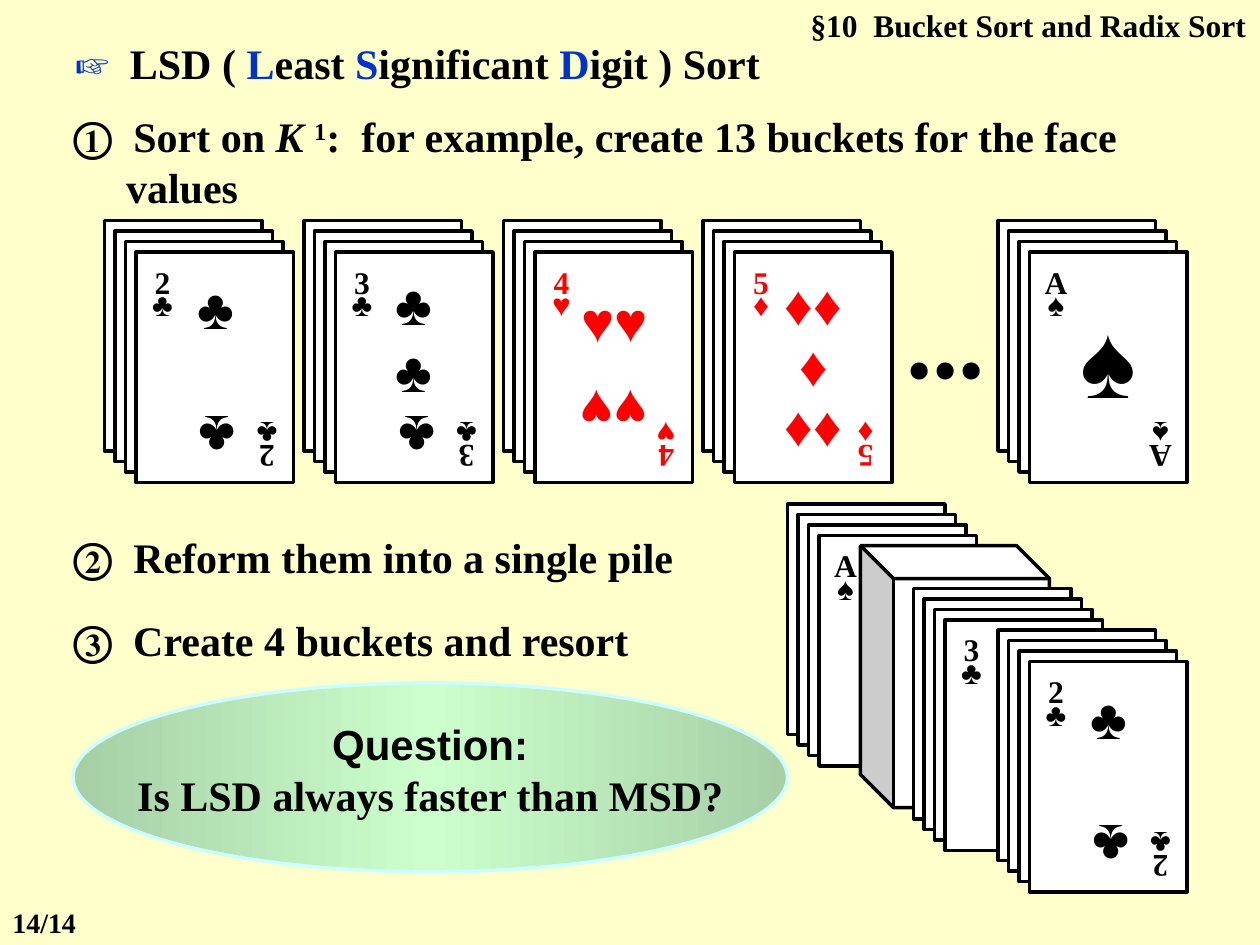
from copy import deepcopy
from dataclasses import dataclass
from pptx import Presentation
from pptx.dml.color import RGBColor
from pptx.enum.shapes import MSO_SHAPE
from pptx.enum.text import MSO_ANCHOR, PP_ALIGN
from pptx.util import Inches, Pt


@dataclass(frozen=True)
class Theme:
    paper: str = "FFFFCC"
    ink: str = "000000"
    accent: str = "0033CC"
    red: str = "FF0000"
    card: str = "FFFFFF"
    bubble_edge: str = "CCFFFF"
    bubble_dark: str = "A6CFA6"
    bubble_light: str = "CCFFCC"
    serif: str = "Times New Roman"
    sans: str = "Arial"
    footer: int = 16
    small: int = 18
    body: int = 24
    pip: int = 32
    huge: int = 60
    outline: int = 2


@dataclass(frozen=True)
class Pip:
    left: float
    top: float
    height: float
    lines: tuple
    size: int = Theme.pip
    spacing: float = 1.0
    turned: bool = False


class SlideBuilder:
    def __init__(self, page, theme):
        self.page = page
        self.theme = theme
        self.shapes = page.shapes
        page.background.fill.solid()
        page.background.fill.fore_color.rgb = RGBColor.from_string(theme.paper)

    def start_group(self):
        self.shapes = self.page.shapes.add_group_shape().shapes

    def end_group(self):
        self.shapes = self.page.shapes

    def span(self, para, text, size, color=None, font=None, italic=False, raised=False):
        span = para.add_run()
        span.text = text
        span.font.name = font or self.theme.serif
        span.font.size = Pt(size)
        span.font.bold = True
        span.font.italic = italic
        span.font.color.rgb = RGBColor.from_string(color or self.theme.ink)
        if raised:
            span._r.get_or_add_rPr().set("baseline", "30000")

    def text(self, at, lines, size, color=None, align=PP_ALIGN.LEFT, side=0.0,
             wrap=True, anchor=MSO_ANCHOR.TOP, spacing=1.0, turned=False, hanging=0.0):
        box = self.shapes.add_textbox(*map(Inches, at))
        frame = box.text_frame
        frame.word_wrap = wrap
        frame.vertical_anchor = anchor
        frame.margin_left = frame.margin_right = Inches(side)
        for index, line in enumerate(lines):
            para = frame.paragraphs[0] if index == 0 else frame.add_paragraph()
            para.alignment = align
            para.line_spacing = spacing
            if hanging:
                properties = para._p.get_or_add_pPr()
                properties.set("marL", str(Inches(hanging)))
                properties.set("indent", str(-Inches(hanging)))
            for part in [(line, {})] if isinstance(line, str) else line:
                self.span(para, part[0], size, **{"color": color, **part[1]})
        if turned:
            box.rotation = 180

    def shape(self, kind, at, line=None, fill=None):
        shape = self.shapes.add_shape(kind, *map(Inches, at))
        shape.shadow.inherit = False
        shape.fill.solid()
        shape.fill.fore_color.rgb = RGBColor.from_string(fill or self.theme.card)
        shape.line.color.rgb = RGBColor.from_string(line or self.theme.ink)
        shape.line.width = Pt(self.theme.outline)
        return shape

    def card_text(self, at, lines, size, color, spacing, turned=False):
        self.text(at, lines, size, color, PP_ALIGN.CENTER, wrap=False,
                  anchor=MSO_ANCHOR.MIDDLE, spacing=spacing, turned=turned)

    def stack(self, left, top, rank, suit, color, pips=(), far_corner=True):
        for index in range(4):
            shift = index / 12
            self.shape(MSO_SHAPE.RECTANGLE, (left + shift, top + shift, 1.25, 1.83))
        corners = [(0.25, 0.37, False), (1.08, 1.5, True)]
        for across, down, turned in corners if far_corner else corners[:1]:
            self.card_text((left + across, top + down, 0.42, 0.5), [rank, suit],
                           self.theme.small, color, 0.6, turned)
        for pip in pips:
            self.card_text((left + pip.left, top + pip.top, 0.67, pip.height),
                           [suit * count for count in pip.lines],
                           pip.size, color, pip.spacing, pip.turned)

    def cube(self, at, depth):
        cube = self.shape(MSO_SHAPE.CUBE, at)
        cube.adjustments[0] = depth
        cube._element.spPr.xfrm.set("flipH", "1")

    def bubble(self, at, lines):
        bubble = self.shape(MSO_SHAPE.OVAL, at, self.theme.bubble_edge)
        bubble.fill.gradient()
        bubble.fill.gradient_angle = 0
        edge, middle = bubble.fill.gradient_stops
        edge.position, middle.position = 0, 0.5
        edge.color.rgb = RGBColor.from_string(self.theme.bubble_dark)
        middle.color.rgb = RGBColor.from_string(self.theme.bubble_light)
        stops = bubble._element.spPr.gradFill.gsLst
        stops.append(deepcopy(stops[0]))
        stops[-1].set("pos", "100000")
        frame = bubble.text_frame
        frame.word_wrap = False
        frame.vertical_anchor = MSO_ANCHOR.MIDDLE
        frame.margin_bottom = Inches(0.18)
        for index, (line, font) in enumerate(lines):
            para = frame.paragraphs[0] if index == 0 else frame.add_paragraph()
            para.alignment = PP_ALIGN.CENTER
            self.span(para, line, self.theme.body, font=font)


theme = Theme()
deck = Presentation()
deck.slide_width, deck.slide_height = Inches(10), Inches(7.5)
slide = SlideBuilder(deck.slides.add_slide(deck.slide_layouts[6]), theme)

CLUB, HEART, DIAMOND, SPADE = "♣", "♥", "♦", "♠"
LOWER_CLUB = Pip(0.56, 1.44, 0.58, (1,), turned=True)
TWO = (Pip(0.55, 0.4, 0.58, (1,)), LOWER_CLUB)
THREE = (Pip(0.54, 0.42, 1, (1, 1)), LOWER_CLUB)
FOUR = (Pip(0.55, 0.5, 0.58, (2,)), Pip(0.54, 1.24, 0.58, (2,), turned=True))
FIVE = (Pip(0.54, 0.42, 1.5, (2, 1, 2), spacing=0.9),)
ACE = (Pip(0.54, 0.58, 1, (1,), size=theme.huge),)
blue = {"color": theme.accent}

slide.text((5.83, 0, 4.16, 0.4), ["§10  Bucket Sort and Radix Sort"],
           theme.small, align=PP_ALIGN.RIGHT, side=0.1)
slide.text((0.5, 0.25, 9, 0.5), [[
    ("☞", blue), ("  LSD ( ", {}), ("L", blue), ("east ", {}), ("S", blue),
    ("ignificant ", {}), ("D", blue), ("igit ) Sort", {})]], theme.body, side=0.1)
slide.text((0.58, 0.83, 8.92, 0.9), [[
    ("①  Sort on ", {}), ("K ", {"italic": True}), ("1", {"raised": True}),
    (":  for example, create 13 buckets for the face values", {})]],
    theme.body, hanging=0.42)

slide.start_group()
buckets = [("2", CLUB, theme.ink, TWO), ("3", CLUB, theme.ink, THREE),
           ("4", HEART, theme.red, FOUR), ("5", DIAMOND, theme.red, FIVE)]
for index, bucket in enumerate(buckets):
    slide.stack(0.83 + index * 19 / 12, 1.75, *bucket)
slide.stack(7.92, 1.75, "A", SPADE, theme.ink, ACE)
slide.card_text((7.17, 2.17, 0.67, 1), ["..."], theme.huge, theme.ink, 1.0)
slide.end_group()

slide.text((0.58, 4.17, 5.42, 0.5), ["②  Reform them into a single pile"], theme.body)

slide.start_group()
slide.stack(6.25, 4, "A", SPADE, theme.ink, far_corner=False)
slide.cube((6.83, 4.33, 1.5, 2.08), 0.175)
slide.stack(7.25, 4.67, "3", CLUB, theme.ink, far_corner=False)
slide.stack(7.92, 5, "2", CLUB, theme.ink, TWO)
slide.end_group()

slide.text((0.58, 4.83, 5, 0.5), ["③  Create 4 buckets and resort"], theme.body, hanging=0.43)
slide.bubble((0.58, 5.42, 5.67, 1.5), [("Question:", theme.sans),
                                       ("Is LSD always faster than MSD?", theme.serif)])
slide.text((0, 7.14, 0.98, 0.37), ["14/14"], theme.footer, side=0.1)

deck.save("out.pptx")
